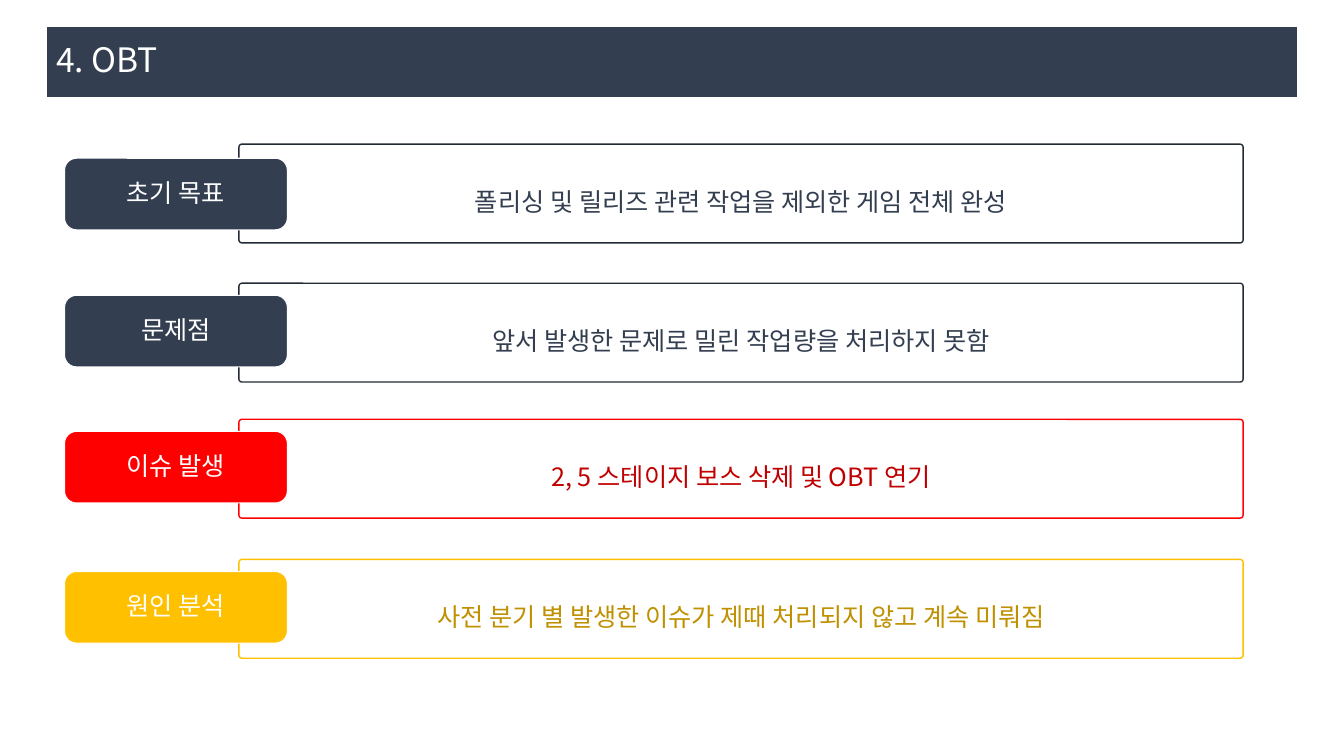
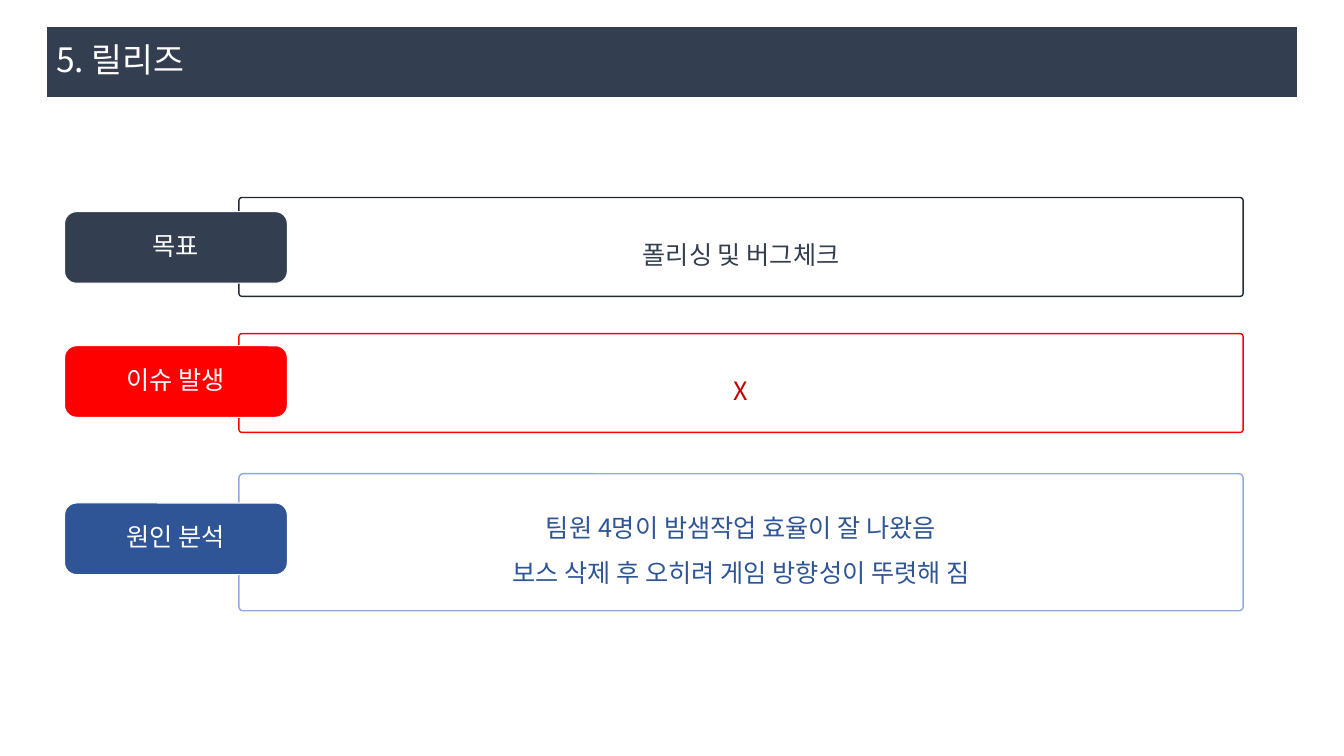
"""Builds the OBT and release review slides: a title band over labelled, outlined rows."""
from lxml import etree
from pptx import Presentation
from pptx.dml.color import RGBColor
from pptx.enum.shapes import MSO_SHAPE
from pptx.enum.text import MSO_ANCHOR, PP_ALIGN
from pptx.oxml.ns import qn
from pptx.util import Inches, Pt

RECTANGLE, ROUNDED = MSO_SHAPE.RECTANGLE, MSO_SHAPE.ROUNDED_RECTANGLE
LEFT, CENTER, MIDDLE = PP_ALIGN.LEFT, PP_ALIGN.CENTER, MSO_ANCHOR.MIDDLE

FONT = "Noto Sans CJK KR"
WHITE = RGBColor(0xFF, 0xFF, 0xFF)
SLATE = RGBColor(0x33, 0x3F, 0x50)
DARK_SLATE = RGBColor(0x22, 0x2A, 0x35)
RED = RGBColor(0xFF, 0x00, 0x00)
DARK_RED = RGBColor(0xC0, 0x00, 0x00)
AMBER = RGBColor(0xFF, 0xC0, 0x00)
DARK_AMBER = RGBColor(0xBF, 0x90, 0x00)
BLUE = RGBColor(0x2F, 0x55, 0x97)
LIGHT_BLUE = RGBColor(0x8F, 0xAA, 0xDC)

GOAL = (SLATE, DARK_SLATE, SLATE)
ISSUE = (RED, RED, DARK_RED)
CAUSE = (AMBER, AMBER, DARK_AMBER)
SUCCESS = (BLUE, LIGHT_BLUE, BLUE)

ROW_HEIGHT = 0.98
TALL_ROW_HEIGHT = 1.36
LABEL_HEIGHT = 0.71

REVIEWS = [
    ("4. OBT", [
        (1.43, ROW_HEIGHT, 1.57, GOAL, "초기 목표",
         ["폴리싱 및 릴리즈 관련 작업을 제외한 게임 전체 완성"]),
        (2.81, ROW_HEIGHT, 2.93, GOAL, "문제점",
         ["앞서 발생한 문제로 밀린 작업량을 처리하지 못함"]),
        (4.16, ROW_HEIGHT, 4.28, ISSUE, "이슈 발생",
         ["2, 5 스테이지 보스 삭제 및 OBT 연기"]),
        (5.55, ROW_HEIGHT, 5.67, CAUSE, "원인 분석",
         ["사전 분기 별 발생한 이슈가 제때 처리되지 않고 계속 미뤄짐"]),
    ]),
    ("5. 릴리즈", [
        (1.96, ROW_HEIGHT, 2.1, GOAL, "목표", ["폴리싱 및 버그체크"]),
        (3.31, ROW_HEIGHT, 3.43, ISSUE, "이슈 발생", ["X"]),
        (4.7, TALL_ROW_HEIGHT, 4.99, SUCCESS, "원인 분석",
         ["팀원 4명이 밤샘작업 효율이 잘 나왔음",
          "보스 삭제 후 오히려 게임 방향성이 뚜렷해 짐"]),
    ]),
]


def write_text(frame, lines, size=18, color=WHITE, align=CENTER, spacing=0.9):
    frame.word_wrap = True
    frame.vertical_anchor = MIDDLE
    for index, line in enumerate(lines):
        paragraph = frame.paragraphs[0] if index == 0 else frame.add_paragraph()
        paragraph.alignment = align
        paragraph.line_spacing = spacing
        run = paragraph.add_run()
        run.text = line
        run.font.size = Pt(size)
        run.font.name = FONT
        run.font.color.rgb = color
        etree.SubElement(run.font._element, qn("a:ea"), typeface=FONT)


def add_panel(slide, preset, left, top, width, height, fill=None, line=WHITE, weight=0.75):
    panel = slide.shapes.add_shape(
        preset, Inches(left), Inches(top), Inches(width), Inches(height))
    panel.shadow.inherit = False
    if fill is None:
        panel.fill.background()
    else:
        panel.fill.solid()
        panel.fill.fore_color.rgb = fill
    panel.line.color.rgb = line
    panel.line.width = Pt(weight)
    return panel


deck = Presentation()
deck.slide_width = Inches(13.33)
deck.slide_height = Inches(7.5)
blank_layout = deck.slide_layouts[6]

for title, rows in REVIEWS:
    slide = deck.slides.add_slide(blank_layout)
    title_band = add_panel(slide, RECTANGLE, 0.46, 0.26, 12.41, 0.71, fill=SLATE)
    write_text(title_band.text_frame, [title], size=24, align=LEFT)

    for row_top, row_height, label_top, theme, heading, details in rows:
        label_color, outline_color, detail_color = theme
        detail_box = add_panel(slide, ROUNDED, 2.37, row_top, 9.96, row_height,
                               line=outline_color, weight=1)
        detail_box.adjustments[0] = 0.03
        write_text(detail_box.text_frame, details, color=detail_color, spacing=1.5)

        label = add_panel(slide, ROUNDED, 0.64, label_top, 2.21, LABEL_HEIGHT, fill=label_color)
        write_text(label.text_frame, [heading])

deck.save("out.pptx")
